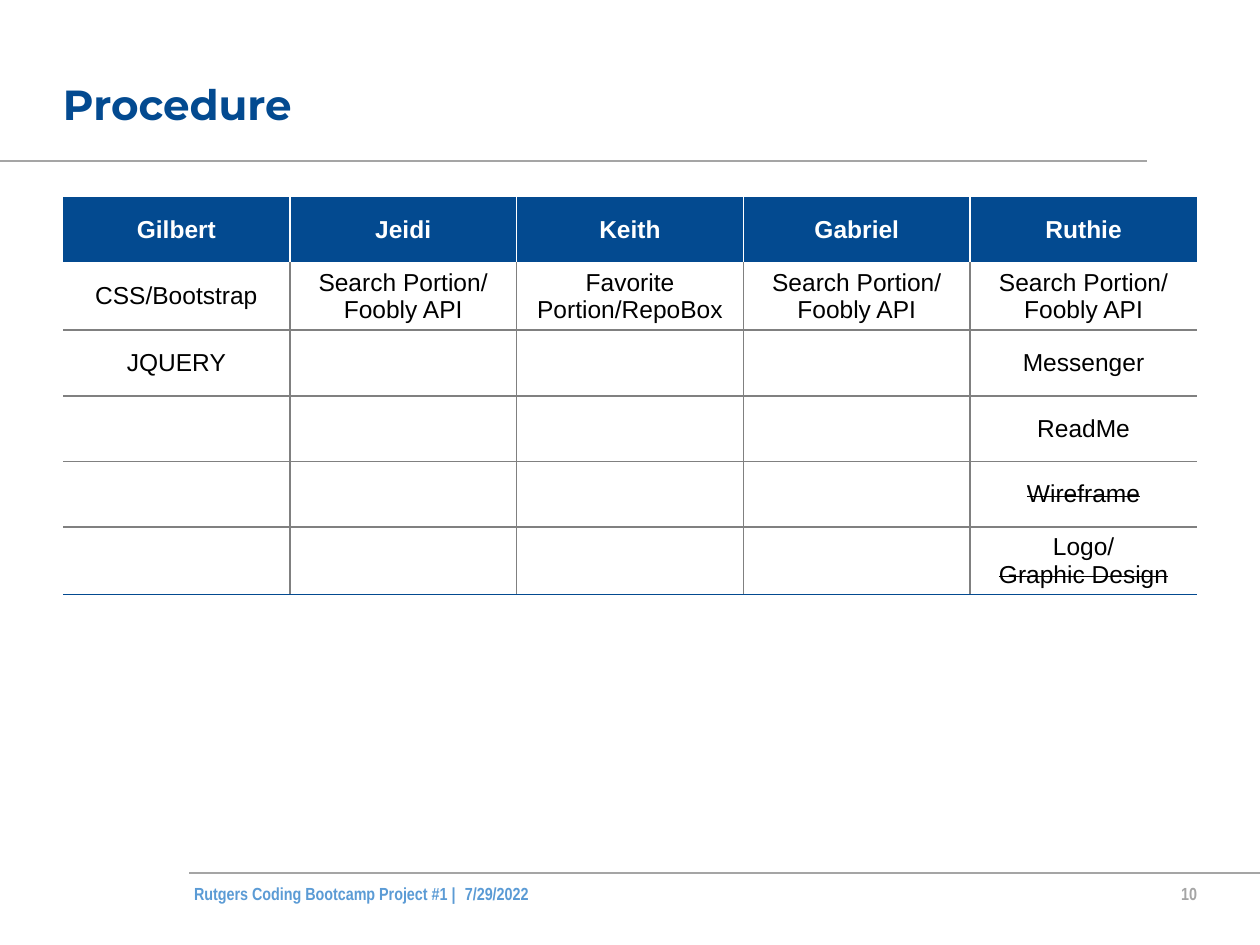
from dataclasses import dataclass

from lxml.etree import SubElement
from pptx import Presentation
from pptx.dml.color import RGBColor
from pptx.enum.shapes import MSO_CONNECTOR
from pptx.enum.text import MSO_ANCHOR, PP_ALIGN
from pptx.oxml.ns import qn
from pptx.slide import Slide
from pptx.table import _Cell
from pptx.text.text import _Paragraph
from pptx.util import Pt


@dataclass(frozen=True)
class Theme:
    navy: str = "034A90"
    blue: str = "5B9BD5"
    rule: str = "A5A5A5"
    grid: str = "808080"
    white: str = "FFFFFF"
    black: str = "000000"
    title_size: float = 24
    table_size: float = 14
    footer_size: float = 10
    line_width: float = 1


THEME = Theme()


@dataclass(frozen=True)
class Style:
    font: str
    size: float
    color: str
    bold: bool = True


TITLE = Style("Montserrat", THEME.title_size, THEME.navy)
FOOTER = Style("Arial Narrow", THEME.footer_size, THEME.blue)
PAGE_NUMBER = Style("Arial Narrow", THEME.footer_size, THEME.rule)
HEADER = Style("Arial", THEME.table_size, THEME.white)
BODY = Style("Arial", THEME.table_size, THEME.black, False)


@dataclass(frozen=True)
class Label:
    text: str
    left: float
    top: float
    width: float
    height: float
    style: Style
    align: PP_ALIGN = PP_ALIGN.LEFT
    anchor: MSO_ANCHOR = MSO_ANCHOR.TOP
    spacing: float = 1


@dataclass(frozen=True)
class Rule:
    left: float
    right: float
    top: float


@dataclass(frozen=True)
class Task:
    text: str
    done: bool = False


RULES = (Rule(0, 655.2, 92), Rule(108, 720, 499))
LABELS = (
    Label("Procedure", 36, 36, 648, 50.4, TITLE, anchor=MSO_ANCHOR.MIDDLE, spacing=0.9),
    Label("10", 648, 504.7, 36, 14.4, PAGE_NUMBER, PP_ALIGN.RIGHT),
    Label("Rutgers Coding Bootcamp Project #1 |", 110.9, 504.7, 154.8, 14.4, FOOTER),
    Label("7/29/2022", 265.7, 504.7, 57.6, 14.4, FOOTER),
)

SEARCH = (Task("Search Portion/\nFoobly API"),)
MEMBERS = {
    "Gilbert": ((Task("CSS/Bootstrap"),), (Task("JQUERY"),)),
    "Jeidi": (SEARCH,),
    "Keith": ((Task("Favorite Portion/RepoBox"),),),
    "Gabriel": (SEARCH,),
    "Ruthie": (
        SEARCH,
        (Task("Messenger"),),
        (Task("ReadMe"),),
        (Task("Wireframe", True),),
        (Task("Logo/"), Task("Graphic Design", True)),
    ),
}
ROW_COUNT = 6
COLUMN_WIDTH = 129.6
ROW_HEIGHT = 37.5
CELL_MARGIN = 3.6


def add_text(para: _Paragraph, text: str, style: Style, struck: bool = False) -> None:
    for index, line in enumerate(text.split("\n")):
        if index:
            para.add_line_break()
        span = para.add_run()
        span.text = line
        span.font.name = style.font
        span.font.size = Pt(style.size)
        span.font.bold = style.bold
        span.font.color.rgb = RGBColor.from_string(style.color)
        if struck:
            span._r.get_or_add_rPr().set("strike", "sngStrike")


def draw_label(page: Slide, label: Label) -> None:
    box = page.shapes.add_textbox(
        Pt(label.left), Pt(label.top), Pt(label.width), Pt(label.height)
    )
    frame = box.text_frame
    frame.word_wrap = True
    frame.vertical_anchor = label.anchor
    frame.margin_left = frame.margin_right = Pt(0)
    frame.margin_top = frame.margin_bottom = Pt(0)
    para = frame.paragraphs[0]
    para.alignment = label.align
    para.line_spacing = label.spacing
    add_text(para, label.text, label.style)


def draw_rule(page: Slide, rule: Rule) -> None:
    line = page.shapes.add_connector(
        MSO_CONNECTOR.STRAIGHT, Pt(rule.left), Pt(rule.top), Pt(rule.right), Pt(rule.top)
    )
    line.line.color.rgb = RGBColor.from_string(THEME.rule)
    line.line.width = Pt(THEME.line_width)
    SubElement(line._element.spPr, qn("a:effectLst"))


def set_border(cell: _Cell, side: str, color: str | None) -> None:
    properties = cell._tc.get_or_add_tcPr()
    border = SubElement(properties, qn(f"a:ln{side}"), w=str(Pt(THEME.line_width)))
    if color is None:
        SubElement(border, qn("a:noFill"))
    else:
        fill = SubElement(border, qn("a:solidFill"))
        SubElement(fill, qn("a:srgbClr"), val=color)


def style_cell(cell: _Cell, row: int, column: int) -> None:
    header = row == 0
    upright = THEME.white if header else THEME.grid
    bottom = THEME.navy if row == ROW_COUNT - 1 else THEME.grid
    set_border(cell, "L", upright if column else None)
    set_border(cell, "R", upright if column < len(MEMBERS) - 1 else None)
    set_border(cell, "T", THEME.grid if row > 1 else None)
    set_border(cell, "B", None if header else bottom)
    if header:
        cell.fill.solid()
        cell.fill.fore_color.rgb = RGBColor.from_string(THEME.navy)
    else:
        cell.fill.background()
    cell.vertical_anchor = MSO_ANCHOR.MIDDLE
    cell.margin_left = cell.margin_right = Pt(CELL_MARGIN)
    cell.margin_top = cell.margin_bottom = Pt(CELL_MARGIN)


def fill_cell(cell: _Cell, tasks: tuple[Task, ...], style: Style) -> None:
    frame = cell.text_frame
    frame.paragraphs[0].font.size = Pt(style.size)
    for index, task in enumerate(tasks):
        para = frame.add_paragraph() if index else frame.paragraphs[0]
        para.alignment = PP_ALIGN.CENTER
        add_text(para, task.text, style, task.done)


def draw_table(page: Slide) -> None:
    table = page.shapes.add_table(
        ROW_COUNT, len(MEMBERS), Pt(36), Pt(112.5),
        Pt(COLUMN_WIDTH * len(MEMBERS)), Pt(ROW_HEIGHT * ROW_COUNT),
    ).table
    table.horz_banding = False
    for row in table.rows:
        row.height = Pt(ROW_HEIGHT)
    for column, (name, duties) in enumerate(MEMBERS.items()):
        table.columns[column].width = Pt(COLUMN_WIDTH)
        entries = ((Task(name),), *duties)
        for row in range(ROW_COUNT):
            cell = table.cell(row, column)
            style_cell(cell, row, column)
            tasks = entries[row] if row < len(entries) else ()
            fill_cell(cell, tasks, BODY if row else HEADER)


def main() -> None:
    deck = Presentation()
    deck.slide_width, deck.slide_height = Pt(720), Pt(540)
    page = deck.slides.add_slide(deck.slide_layouts[6])
    for rule in RULES:
        draw_rule(page, rule)
    draw_table(page)
    for label in LABELS:
        draw_label(page, label)
    deck.save("out.pptx")


if __name__ == "__main__":
    main()
